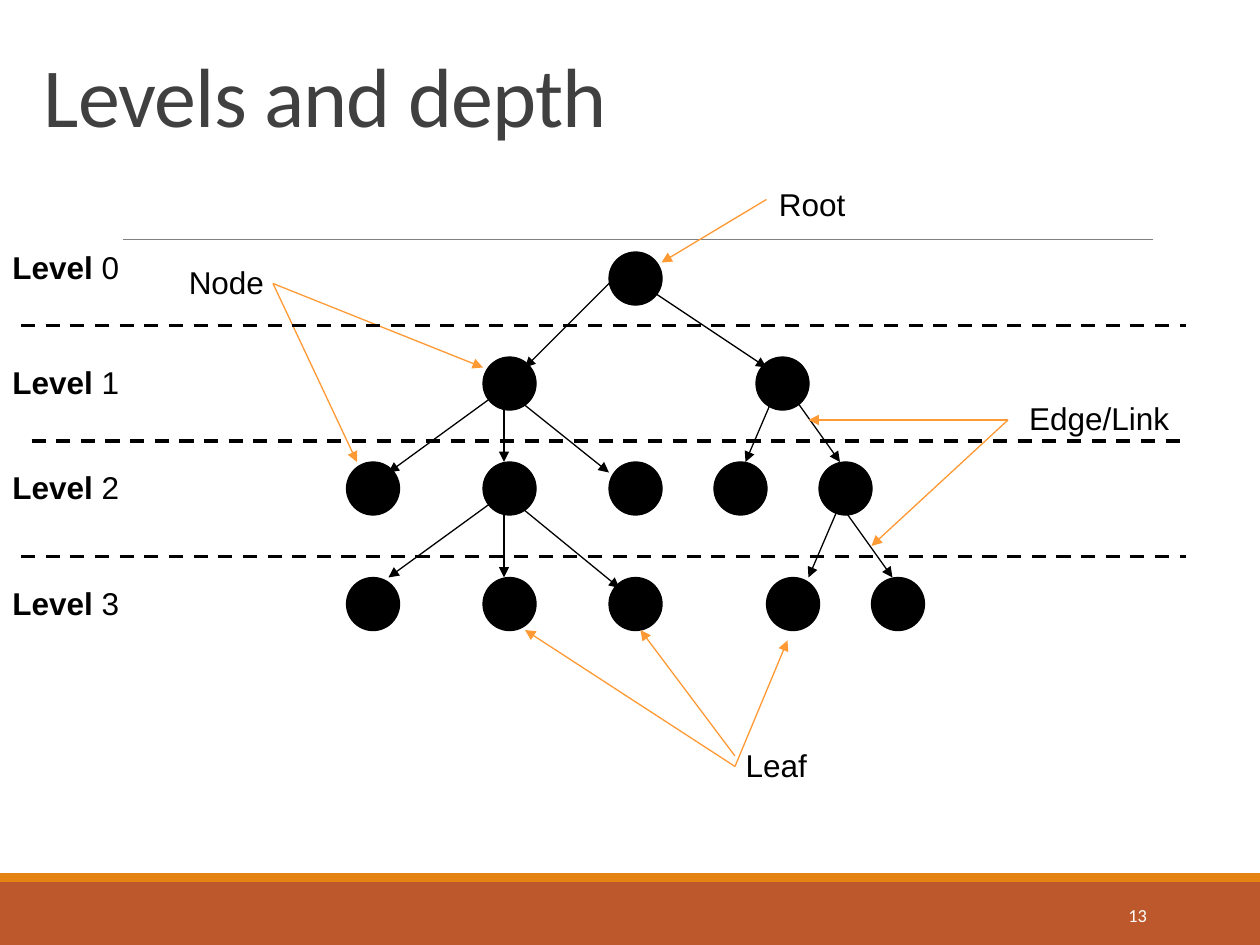
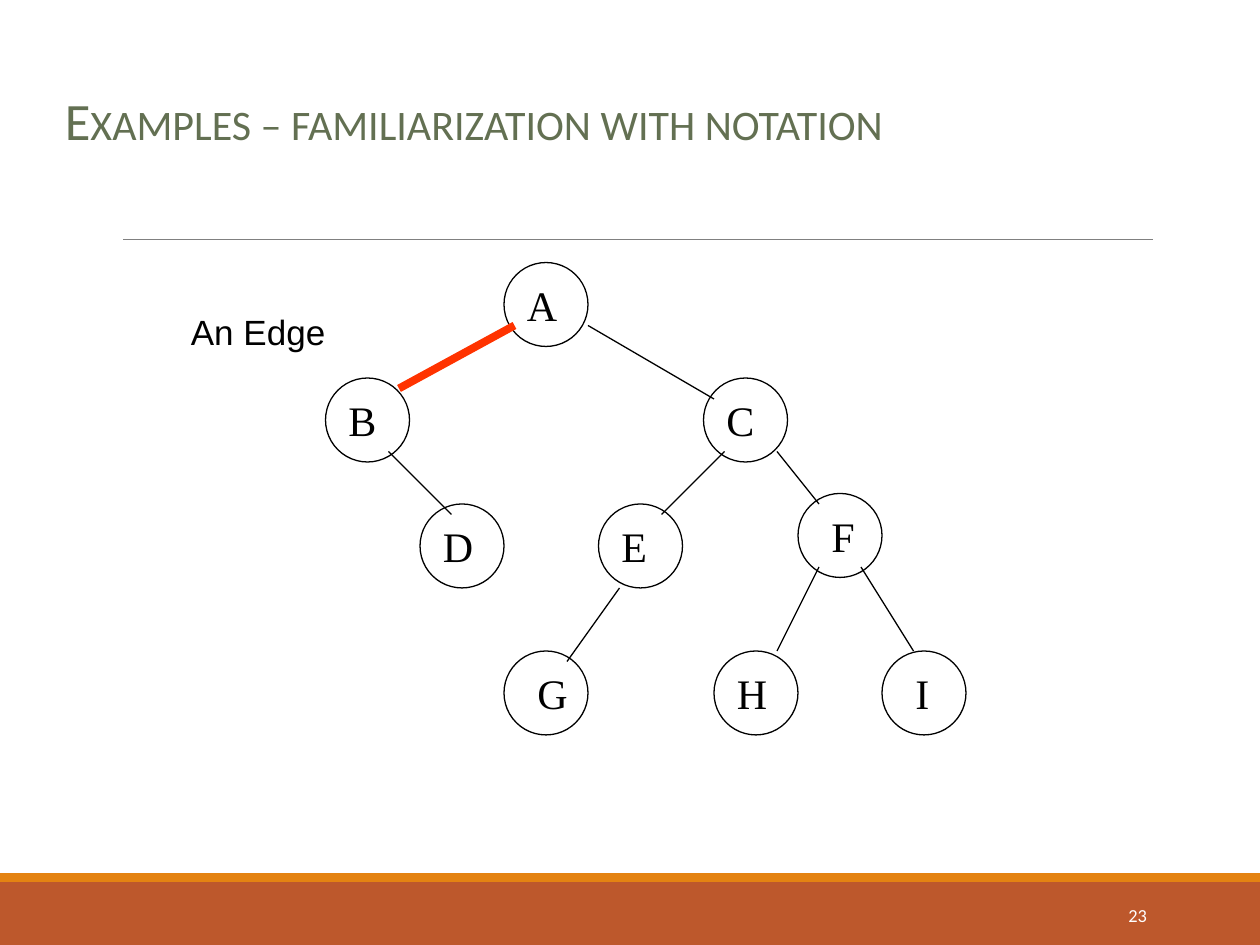
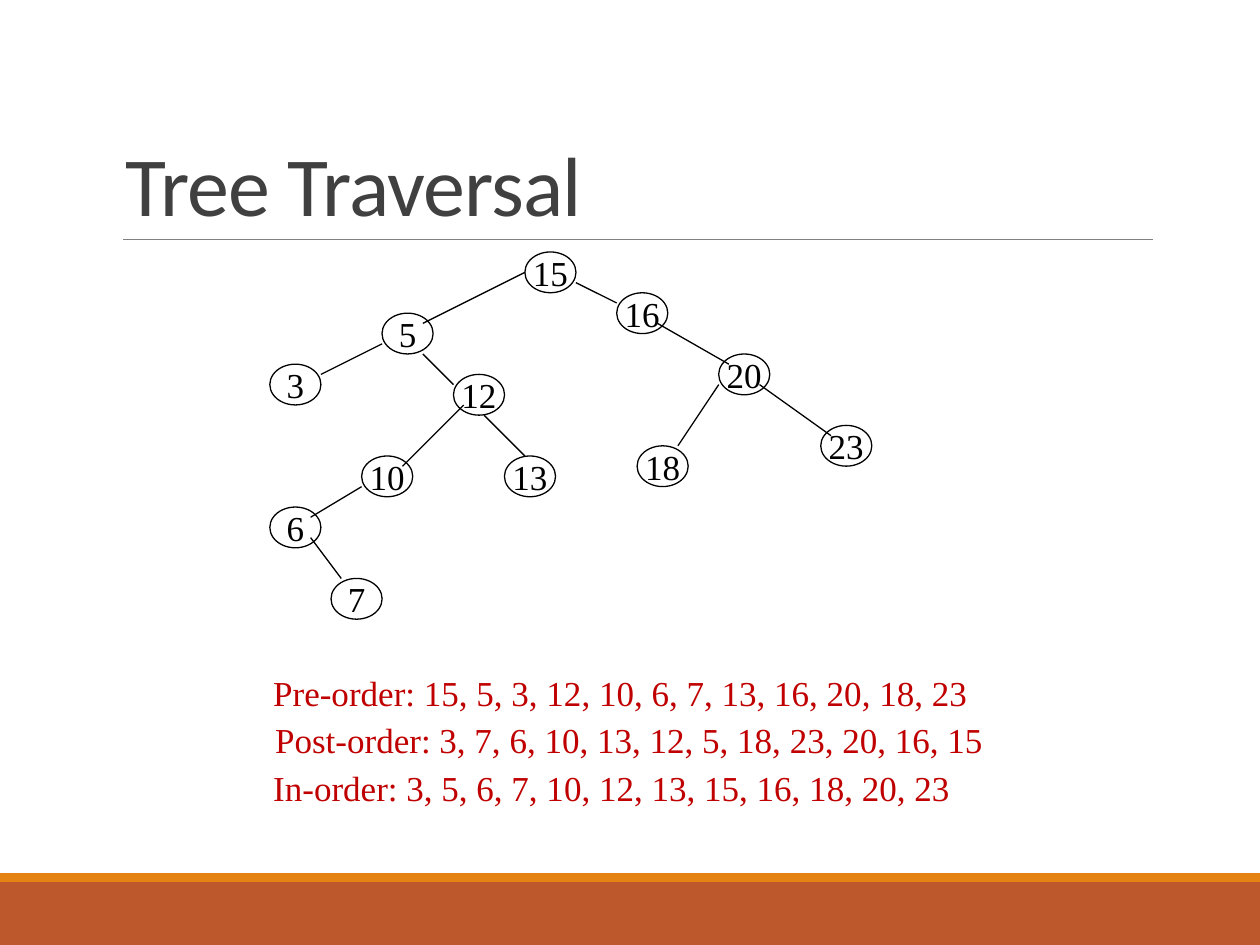
from dataclasses import dataclass

from lxml.etree import SubElement as Sub
from pptx import Presentation as Deck
from pptx.dml.color import RGBColor as Rgb
from pptx.enum.dml import MSO_LINE as Dash
from pptx.enum.shapes import MSO_CONNECTOR as Conn, MSO_SHAPE as Kind
from pptx.enum.text import MSO_ANCHOR as Anchor, PP_ALIGN as Align
from pptx.oxml.ns import qn
from pptx.util import Pt


@dataclass(frozen=True)
class Theme:
    rust: str = "BD582C"
    amber: str = "E48312"
    rule: str = "808080"
    dark: str = "404040"
    sage: str = "637052"
    black: str = "000000"
    white: str = "FFFFFF"
    gold: str = "FF9933"
    red: str = "FF3300"
    wine: str = "C00000"
    head: str = "Calibri"
    sans: str = "Arial"
    serif: str = "Times New Roman"
    title: float = 48
    sub: float = 30
    big: float = 24
    mid: float = 20
    small: float = 18
    page: float = 10.5
    thin: float = 0.75


T = Theme()


def color(code):
    return Rgb.from_string(code)


def style(para, face, size, ink):
    for run in para.runs:
        run.font.name = face
        run.font.size = Pt(size)
        run.font.color.rgb = color(ink)


def shape(slide, kind, box, fill=None, edge=None):
    item = slide.shapes.add_shape(kind, *map(Pt, box))
    item.shadow.inherit = False
    if fill:
        item.fill.solid()
        item.fill.fore_color.rgb = color(fill)
    else:
        item.fill.background()
    if edge:
        item.line.color.rgb = color(edge)
        item.line.width = Pt(T.thin)
    else:
        item.line.fill.background()
    return item


def link(slide, start, end, ink=T.black, width=T.thin, arrow=False, dash=False):
    item = slide.shapes.add_connector(Conn.STRAIGHT, *map(Pt, start + end))
    item.line.color.rgb = color(ink)
    item.line.width = Pt(width)
    if dash:
        item.line.dash_style = Dash.DASH
    if arrow:
        Sub(item.get_or_add_ln(), qn("a:tailEnd"), type="triangle")
    Sub(item.element.spPr, qn("a:effectLst"))


def text(slide, box, words, face, size, ink, anchor=Anchor.TOP, wrap=False):
    frame = slide.shapes.add_textbox(*map(Pt, box)).text_frame
    frame.word_wrap = wrap
    frame.vertical_anchor = anchor
    frame.text = words
    for para in frame.paragraphs:
        style(para, face, size, ink)
    return frame


def title(slide, box, words):
    frame = text(slide, box, words, T.head, T.title, T.dark, Anchor.BOTTOM, True)
    para = frame.paragraphs[0]
    para.line_spacing = 0.85
    para.runs[0].font._element.set("spc", "-50")


def base(deck, page=None):
    slide = deck.slides.add_slide(deck.slide_layouts[6])
    shape(slide, Kind.RECTANGLE, (0, 504, 720, 36), T.rust)
    shape(slide, Kind.RECTANGLE, (0, 499, 720, 5), T.amber)
    link(slide, (70.5, 136.8), (659, 136.8), T.rule, 0.5)
    if page:
        frame = text(slide, (584.6, 508.3, 77.8, 28.8), page, T.head, T.page,
                     T.white, Anchor.MIDDLE, True)
        frame.paragraphs[0].alignment = Align.RIGHT
    return slide


def levels(deck):
    slide = base(deck, "13")
    title(slide, (18, 12, 630, 74.5), "Levels and depth")
    rows = {
        144: (348,),
        204: (276, 432),
        264: (198, 276, 348, 408, 468),
        330: (198, 276, 348, 438, 498),
    }
    for y, row in rows.items():
        for x in row:
            shape(slide, Kind.OVAL, (x, y, 30.3, 30.3), T.black, T.black)
    edges = [
        ((354, 156), [(300, 210)]),
        ((366, 162), [(438, 210)]),
        ((288, 222), [(222, 270), (288, 264), (348, 270)]),
        ((444, 222), [(426, 264)]),
        ((450, 222), [(480, 264)]),
        ((288, 282), [(222, 330), (288, 330), (354, 336)]),
        ((480, 288), [(462, 330), (510, 330)]),
    ]
    hints = [
        ((438, 114), [(378, 150)]),
        ((156, 162), [(276, 210), (204, 264)]),
        ((420, 438), [(300, 360), (450, 366)]),
        ((420, 432), [(366, 360)]),
        ((576, 240), [(462, 240), (498, 312)]),
    ]
    for group, ink in ((edges, T.black), (hints, T.gold)):
        for start, ends in group:
            for end in ends:
                link(slide, start, end, ink, arrow=True)
    names = [
        ("Root", 438, 102, 52.6),
        ("Node", 100.8, 147, 57.6),
        ("Leaf", 419, 422.6, 49.7),
        ("Edge/Link", 581, 224.6, 95),
    ]
    for word, x, y, width in names:
        text(slide, (x, y, width, 28.8), word, T.sans, T.small, T.black)
    for x, y in ((12, 186), (18, 252), (12, 318)):
        link(slide, (x, y), (678, y), width=2, dash=True)
    for rank, y in enumerate((138, 204, 264, 330)):
        frame = text(slide, (0, y, 76.3, 28.8), "Level", T.sans, T.small, T.black)
        para = frame.paragraphs[0]
        para.add_run().text = f" {rank}"
        style(para, T.sans, T.small, T.black)
        para.runs[0].font.bold = True


def notation(deck):
    slide = base(deck, "23")
    nodes = [
        ("A", 288, 150, 6, 31.7),
        ("B", 186, 216, 6, 30.2),
        ("C", 402, 216, 6, 30.2),
        ("D", 240, 288, 6, 31.7),
        ("E", 342, 288, 6, 28.8),
        ("F", 456, 282, 12, 28),
        ("G", 288, 372, 12, 31.7),
        ("H", 408, 372, 6, 31.7),
        ("I", 504, 372, 12, 22.3),
    ]
    edges = [
        ((336, 186), (408, 228)),
        ((222, 258), (258, 294)),
        ((414, 258), (378, 294)),
        ((444, 258), (468, 288)),
        ((354, 336), (324, 378)),
        ((468, 324), (444, 372)),
        ((492, 324), (522, 372)),
    ]
    for name, x, y, shift, width in nodes:
        shape(slide, Kind.OVAL, (x, y, 48, 48), edge=T.black)
        text(slide, (x + shift, y + 6, width, 36), name, T.serif, T.big, T.black)
    link(slide, (294, 186), (228, 222), T.red, 4.5)
    for start, end in edges:
        link(slide, start, end)
    text(slide, (102, 174, 107.3, 36), "An Edge", T.sans, T.mid, T.black)
    frame = text(slide, (30, 0, 588, 90), "Examples – familiarization with notation",
                 T.head, T.sub, T.sage, Anchor.BOTTOM, True)
    frame.paragraphs[0].runs[0].font._element.set("cap", "small")


def grid(x, y):
    unit = 5.83
    return 154.2 + x * unit, 144 + y * unit


def walk(deck):
    slide = base(deck)
    title(slide, (64.8, 22.3, 594, 114.5), "Tree Traversal")
    nodes = {
        15: (25, 0), 16: (34, 4), 5: (11, 6), 12: (18, 12),
        3: (0, 11), 20: (44, 10), 23: (54, 17), 18: (36, 19),
        13: (23, 20), 10: (9, 20), 6: (0, 25), 7: (6, 32),
    }
    edges = [
        ((30, 3), (34, 5)), ((15, 10), (18, 13)), ((11, 9), (5, 12)),
        ((38, 7), (45, 11)), ((48, 13), (55, 18)), ((25, 2), (15, 7)),
        ((44, 13), (40, 19)), ((21, 16), (25, 20)), ((19, 15), (13, 21)),
        ((9, 23), (4, 26)), ((4, 28), (7, 32)),
    ]
    for key, spot in nodes.items():
        item = shape(slide, Kind.OVAL, (*grid(*spot), 29.2, 23.3), T.white, T.black)
        frame = item.text_frame
        frame.word_wrap = False
        frame.vertical_anchor = Anchor.MIDDLE
        frame.text = str(key)
        frame.paragraphs[0].alignment = Align.CENTER
        style(frame.paragraphs[0], T.serif, T.mid, T.black)
    for start, end in edges:
        link(slide, grid(*start), grid(*end))
    orders = [
        ("Pre-order: 15, 5, 3, 12, 10, 6, 7, 13, 16, 20, 18, 23", "marR", 5),
        ("Post-order: 3, 7, 6, 10, 13, 12, 5, 18, 23, 20, 16, 15", "marL", 10),
        ("In-order: 3, 5, 6, 7, 10, 12, 13, 15, 16, 18, 20, 23", "marR", 15),
    ]
    words = "\n".join(order[0] for order in orders)
    frame = text(slide, (78, 384, 558, 82), words, T.serif, T.mid, T.wine,
                 Anchor.MIDDLE, True)
    for rank, (para, order) in enumerate(zip(frame.paragraphs, orders)):
        para.alignment = Align.CENTER
        para.line_spacing = 0.8
        para.space_before = Pt(8 if rank else 0)
        para._p.get_or_add_pPr().set(order[1], str(Pt(order[2])))


def main():
    deck = Deck()
    deck.slide_width, deck.slide_height = Pt(720), Pt(540)
    levels(deck)
    notation(deck)
    walk(deck)
    deck.save("out.pptx")


if __name__ == "__main__":
    main()
